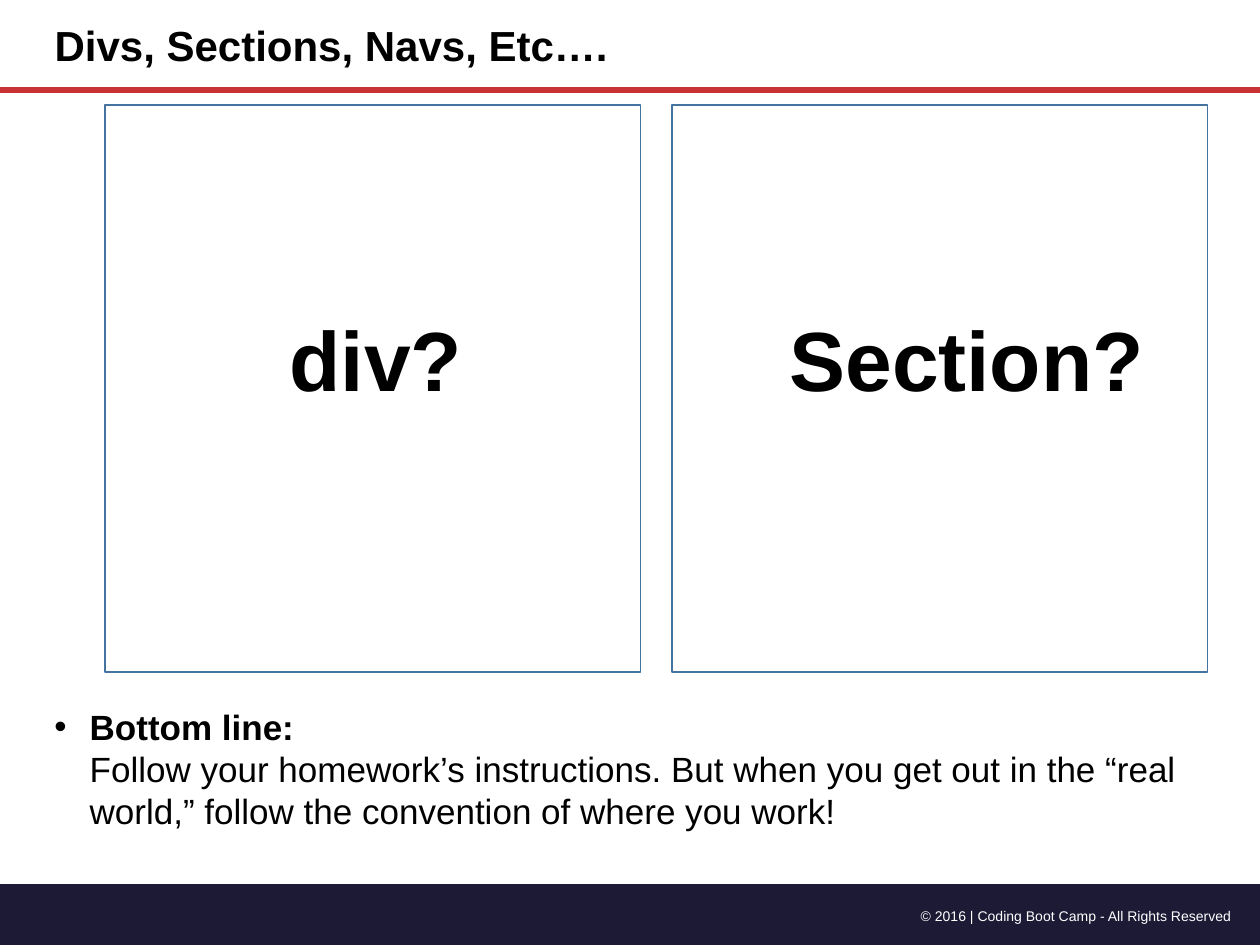
from lxml.etree import SubElement
from pptx import Presentation
from pptx.dml.color import RGBColor
from pptx.enum.shapes import MSO_CONNECTOR as Connector, MSO_SHAPE as Shape
from pptx.enum.text import MSO_ANCHOR as Anchor, MSO_AUTO_SIZE as AutoSize, PP_ALIGN as Align
from pptx.oxml.ns import qn
from pptx.util import Inches, Pt

COLORS = {"ink": "000000", "paper": "FFFFFF", "footer": "1D1A36",
          "rule": "C83232", "panel": "43739E"}
COLUMNS, ROWS = 120, 90


def color(name):
    return RGBColor.from_string(COLORS[name])


class SlideBuilder:
    """Places elements on a grid of COLUMNS by ROWS cells."""
    font_name = "Arial"

    def __init__(self, deck):
        self.slide = deck.slides.add_slide(deck.slide_layouts[5])
        self.shapes = self.slide.shapes
        self.column = deck.slide_width / COLUMNS
        self.row = deck.slide_height / ROWS

    def area(self, left, top, width, height):
        return [round(n * unit) for n, unit in zip(
            (left, top, width, height), (self.column, self.row) * 2)]

    def style(self, font, size, ink="ink", bold=False):
        formats = {"name": self.font_name, "size": Pt(size), "bold": bold}
        for attribute, value in formats.items():
            setattr(font, attribute, value)
        font.color.rgb = color(ink)

    def title(self, wording, *area):
        heading = self.shapes.title
        places = zip(("left", "top", "width", "height"), self.area(*area))
        for attribute, value in places:
            setattr(heading, attribute, value)
        frame = heading.text_frame
        frame.text = wording
        frame.vertical_anchor = Anchor.MIDDLE
        frame.paragraphs[0].alignment = Align.LEFT
        self.style(frame.paragraphs[0].runs[0].font, 24, bold=True)

    def box(self, kind, area, fill=None, line=None):
        shape = self.shapes.add_shape(kind, *self.area(*area))
        shape.shadow.inherit = False
        if fill:
            shape.fill.solid()
            shape.fill.fore_color.rgb = color(fill)
        else:
            shape.fill.background()
        if line:
            shape.line.color.rgb = color(line)
            shape.line.width = Pt(1)
        else:
            shape.line.fill.background()

    def rule(self, row):
        left, top, right, bottom = self.area(0, row, COLUMNS, row)
        rule = self.shapes.add_connector(Connector.STRAIGHT, left, top, right, bottom)
        rule.line.color.rgb = color("rule")
        rule.line.width = Pt(3.25)
        SubElement(rule._element.spPr, qn("a:effectLst"))

    def text(self, wording, area, size, ink="ink", bold=False, align=Align.LEFT, wrap=True):
        frame = self.shapes.add_textbox(*self.area(*area)).text_frame
        frame.word_wrap = wrap
        frame.auto_size = AutoSize.SHAPE_TO_FIT_TEXT
        paragraph = frame.paragraphs[0]
        paragraph.alignment = align
        run = paragraph.add_run()
        run.text = wording
        self.style(run.font, size, ink, bold)

    def bullet(self, lead, detail, area, size):
        """Bulleted paragraph with a bold lead above its detail."""
        frame = self.shapes.add_textbox(*self.area(*area)).text_frame
        frame.word_wrap = True
        for side in ("left", "top", "right", "bottom"):
            setattr(frame, f"margin_{side}", Inches(0.1))
        paragraph = frame.paragraphs[0]
        properties = paragraph._p.get_or_add_pPr()
        indent = Inches(0.28)
        properties.set("marL", str(indent))
        properties.set("indent", str(-indent))
        SubElement(properties, qn("a:buFont")).set("typeface", self.font_name)
        SubElement(properties, qn("a:buChar")).set("char", "•")
        self.style(paragraph.font, size)
        lead_run = paragraph.add_run()
        lead_run.text = lead
        self.style(lead_run.font, size, bold=True)
        paragraph.add_line_break()
        detail_run = paragraph.add_run()
        detail_run.text = detail
        self.style(detail_run.font, size)


def main():
    deck = Presentation()
    deck.slide_width, deck.slide_height = Inches(10), Inches(7.5)
    builder = SlideBuilder(deck)

    builder.box(Shape.FLOWCHART_PROCESS, (0, 84.2, COLUMNS, 5.8), fill="footer")
    builder.text("© 2016 | Coding Boot Camp - All Rights Reserved",
                 (82, 85.8, 36.5, 2.9), 8, ink="paper", align=Align.RIGHT)
    builder.rule(8.6)
    builder.title("Divs, Sections, Navs, Etc….", 4, 1.3, 75, 6)
    builder.bullet("Bottom line:",
                   "Follow your homework’s instructions. But when you get out in the "
                   "“real world,” follow the convention of where you work!",
                   (4, 66, 114.6, 16), 20)

    panel_left, panel_width, gap = 10, 51, 3
    questions = (("div?", 16.4, 19), ("Section?", 10, 36.6))
    for index, (question, inset, width) in enumerate(questions):
        left = panel_left + index * (panel_width + gap)
        builder.box(Shape.RECTANGLE, (left, 10, panel_width, 54), line="panel")
        builder.text(question, (left + inset, 28.7, width, 10.9), 48, bold=True, wrap=False)

    deck.save("out.pptx")


if __name__ == "__main__":
    main()
